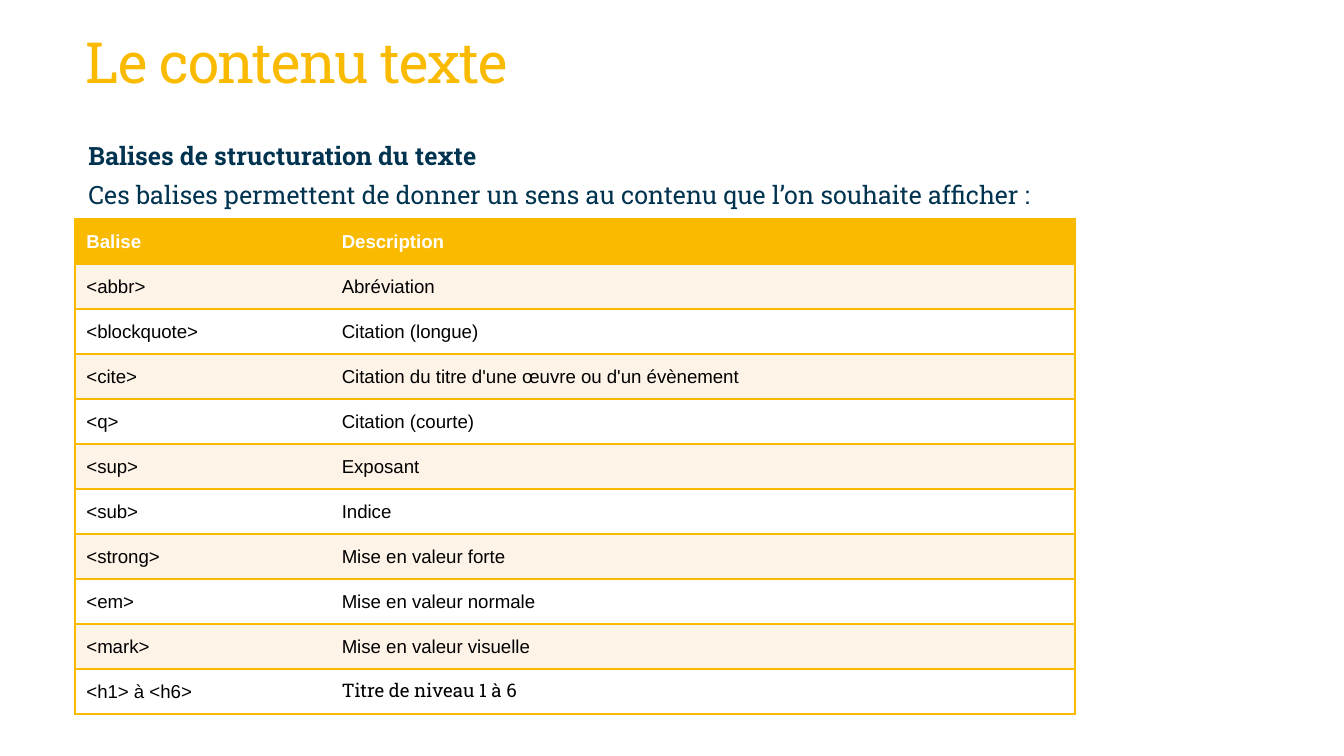
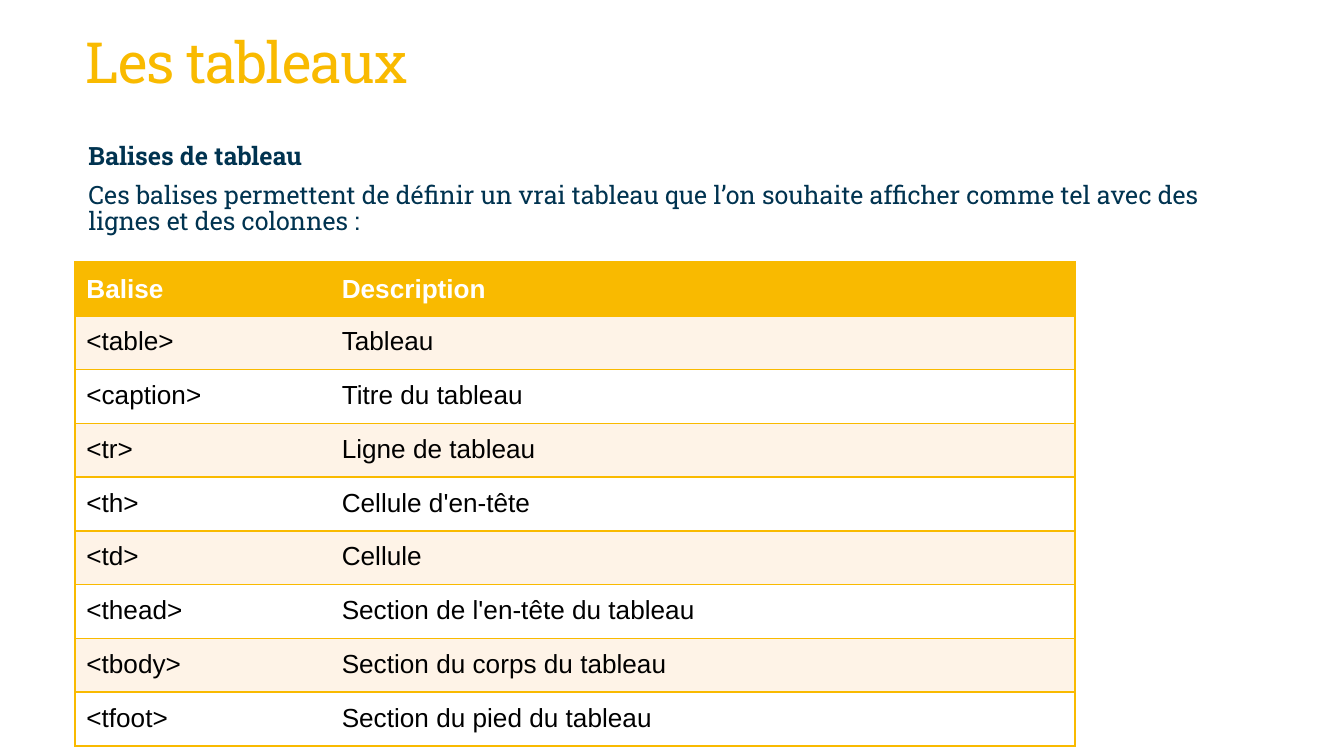
from lxml.etree import SubElement
from pptx import Presentation
from pptx.dml.color import RGBColor
from pptx.enum.text import MSO_ANCHOR as ANCHOR
from pptx.oxml.ns import qn
from pptx.util import Inches, Pt

GOLD, NAVY, CREAM, WHITE, BLACK = "F9BA00", "003350", "FEF3E7", "FFFFFF", "000000"
SLAB, SANS = "Roboto Slab", "Arial"
COL_WIDTHS = (1.9, 5.54)
HEADER = ("Balise", "Description")
MARGINS = ("margin_left", "margin_right", "margin_top", "margin_bottom")

TITLE = dict(name=SLAB, size=Pt(30.4), bold=False, color=GOLD)
HEADING = dict(name=SLAB, size=Pt(13.5), bold=True, color=NAVY)
BODY = {**HEADING, "bold": False}

TEXT_TAGS = [
    ("<abbr>", "Abréviation"),
    ("<blockquote>", "Citation (longue)"),
    ("<cite>", "Citation du titre d'une œuvre ou d'un évènement"),
    ("<q>", "Citation (courte)"),
    ("<sup>", "Exposant"),
    ("<sub>", "Indice"),
    ("<strong>", "Mise en valeur forte"),
    ("<em>", "Mise en valeur normale"),
    ("<mark>", "Mise en valeur visuelle"),
    ("<h1> à <h6>", "Titre de niveau 1 à 6"),
]
TABLE_TAGS = [
    ("<table>", "Tableau"),
    ("<caption>", "Titre du tableau"),
    ("<tr>", "Ligne de tableau"),
    ("<th>", "Cellule d'en-tête"),
    ("<td>", "Cellule"),
    ("<thead>", "Section de l'en-tête du tableau"),
    ("<tbody>", "Section du corps du tableau"),
    ("<tfoot>", "Section du pied du tableau"),
]


def set_color(target, value):
    target.rgb = RGBColor.from_string(value)


def add_run(p, text, style):
    r = p.add_run()
    r.text = text
    for key, value in style.items():
        if key == "color":
            set_color(r.font.color, value)
        else:
            setattr(r.font, key, value)
    return r


def add_text_frame(slide, left, top, width, height):
    tf = slide.shapes.add_textbox(
        Inches(left), Inches(top), Inches(width), Inches(height)).text_frame
    tf.word_wrap = True
    return tf


def add_title(slide, text):
    tf = add_text_frame(slide, 0.54, 0.15, 8.84, 0.69)
    tf.vertical_anchor = ANCHOR.MIDDLE
    p = tf.paragraphs[0]
    p.line_spacing = 0.85
    r = add_run(p, text, TITLE)
    r.font._element.set("spc", "-67")


def add_intro(slide, heading, sentence):
    tf = add_text_frame(slide, 0.56, 1.03, 8.82, 3.79)
    for p, text, style in ((tf.paragraphs[0], heading, HEADING),
                           (tf.add_paragraph(), sentence, BODY)):
        p.line_spacing = 0.85
        p.space_before = Pt(7.3)
        add_run(p, text, style)


def set_borders(cell, visible):
    tc_pr = cell._tc.get_or_add_tcPr()
    for side in "LRTB":
        ln = SubElement(tc_pr, qn(f"a:ln{side}"), w=str(Pt(1)))
        if side in visible:
            fill = SubElement(ln, qn("a:solidFill"))
            SubElement(fill, qn("a:srgbClr"), val=GOLD)
        else:
            SubElement(ln, qn("a:noFill"))


def fill_cell(cell, text, style, color, borders, spacing):
    set_borders(cell, borders)
    cell.fill.solid()
    set_color(cell.fill.fore_color, color)
    for margin in MARGINS:
        setattr(cell, margin, Pt(6))
    p = cell.text_frame.paragraphs[0]
    if spacing:
        p.line_spacing = Pt(spacing)
    add_run(p, text, style)


def add_tag_table(slide, tags, top, height, row_height, size, spacing=None,
                  slab_cells=()):
    rows = [HEADER, *tags]
    frame = slide.shapes.add_table(
        len(rows), len(COL_WIDTHS), Inches(0.56), Inches(top),
        Inches(sum(COL_WIDTHS)), Inches(height))
    table = frame.table
    table.horz_banding = False
    for column, width in zip(table.columns, COL_WIDTHS):
        column.width = Inches(width)
    for i, row in enumerate(rows):
        table.rows[i].height = Inches(row_height)
        header = i == 0
        color = GOLD if header else CREAM if i % 2 else WHITE
        for j, text in enumerate(row):
            cell = table.cell(i, j)
            style = dict(name=SLAB if text in slab_cells else SANS, size=Pt(size),
                         bold=header, color=WHITE if header else BLACK)
            fill_cell(cell, text, style, color, "RTB" if j else "LTB", spacing)
            cell.vertical_anchor = ANCHOR.MIDDLE if header else ANCHOR.TOP
    frame.height = Inches(height)


def add_tag_slide(prs, title, heading, sentence, **table):
    slide = prs.slides.add_slide(prs.slide_layouts[6])
    add_title(slide, title)
    add_intro(slide, heading, sentence)
    add_tag_table(slide, **table)


def main():
    prs = Presentation()
    prs.slide_width = Inches(10)
    prs.slide_height = prs.slide_width * 9 // 16
    add_tag_slide(
        prs, "Le contenu texte", "Balises de structuration du texte",
        "Ces balises permettent de donner un sens au contenu que l’on souhaite afficher :",
        tags=TEXT_TAGS, top=1.63, height=3.67, row_height=0.28, size=10,
        spacing=12.1, slab_cells=("Titre de niveau 1 à 6",))
    add_tag_slide(
        prs, "Les tableaux", "Balises de tableau",
        "Ces balises permettent de définir un vrai tableau que l’on souhaite "
        "afficher comme tel avec des lignes et des colonnes :",
        tags=TABLE_TAGS, top=1.95, height=3.02, row_height=0, size=14)
    prs.save("out.pptx")


if __name__ == "__main__":
    main()
